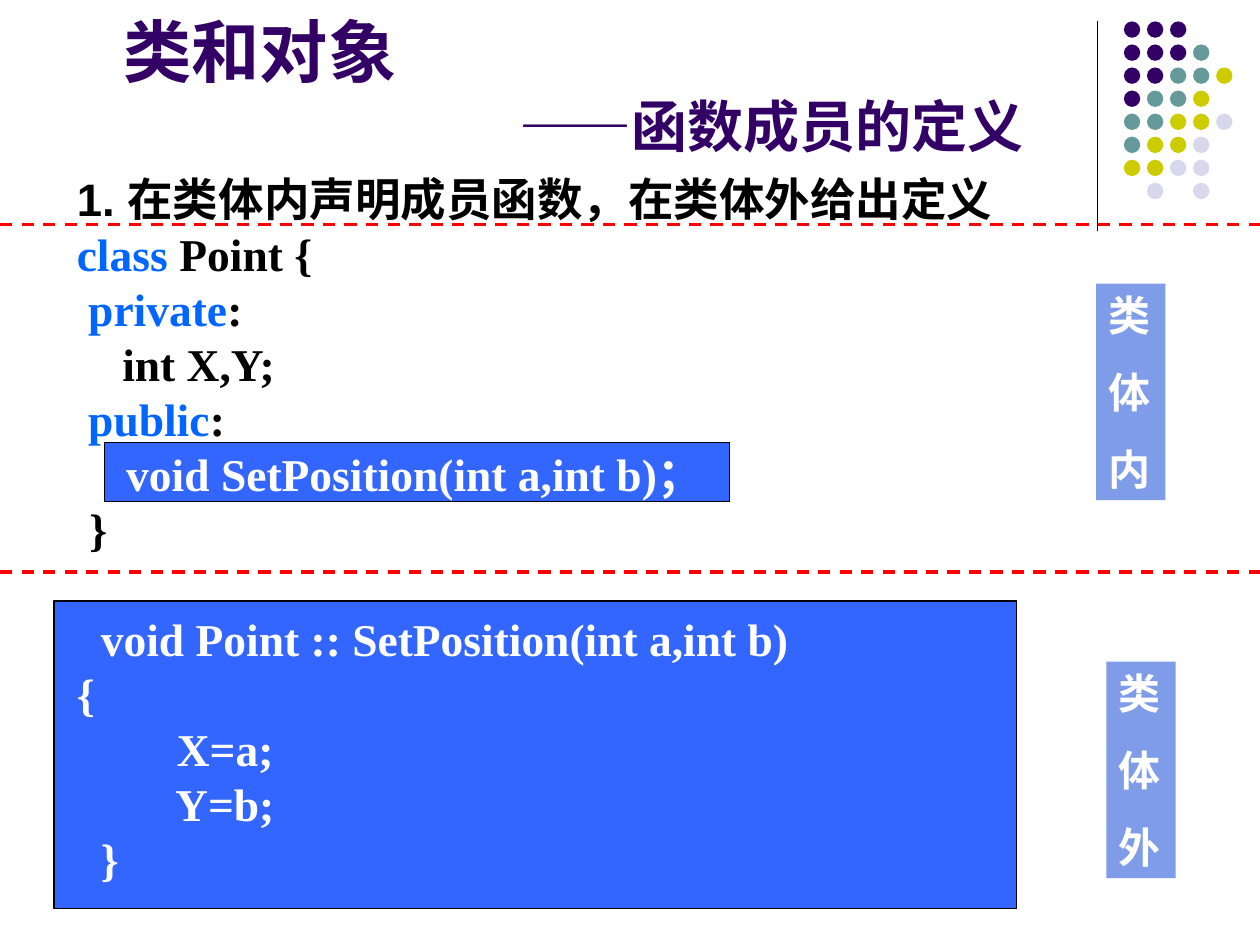
from pptx import Presentation
from pptx.dml.color import RGBColor
from pptx.enum.dml import MSO_LINE
from pptx.enum.shapes import MSO_CONNECTOR, MSO_SHAPE
from pptx.enum.text import MSO_ANCHOR, MSO_AUTO_SIZE, PP_ALIGN
from pptx.oxml.ns import qn
from pptx.util import Inches, Pt
from lxml import etree

SANS, SERIF = "Arial", "Times New Roman"
PURPLE, TEAL, OLIVE, PALE = "330066", "669999", "CCCC00", "D8D8EC"
BLACK, WHITE, KEYWORD, RED = "000000", "FFFFFF", "0066FF", "FF0000"
BLUE, LABEL = "3366FF", "7E9CE8"


def rgb(value):
    return RGBColor.from_string(value)


def add_run(p, text, size, font, color):
    r = p.add_run()
    r.text = text
    r.font.size, r.font.name, r.font.bold = Pt(size), font, True
    r.font.color.rgb = rgb(color)


prs = Presentation()
prs.slide_width, prs.slide_height = Inches(10), Inches(7.5)
s = prs.slides.add_slide(prs.slide_layouts[1])
title, body = s.placeholders

# Vertical rule and dashed separators
for x1, y1, x2, y2, color, width in [
    (8.71, 0.17, 8.71, 1.83, BLACK, 0.75),
    (0, 1.78, 10, 1.78, RED, 1.75),
    (0, 4.54, 10, 4.54, RED, 1.75),
]:
    line = s.shapes.add_connector(
        MSO_CONNECTOR.STRAIGHT, Inches(x1), Inches(y1), Inches(x2), Inches(y2))
    line.line.color.rgb = rgb(color)
    line.line.width = Pt(width)
    if color == RED:
        line.line.dash_style = MSO_LINE.DASH
    etree.SubElement(line.element.spPr, qn("a:effectLst"))

# Dot ornament
dot_colors = {"P": PURPLE, "T": TEAL, "O": OLIVE, "L": PALE}
dot_rows = ["PPP", "PPPT", "PPTTO", "PTTO", "TTOOL", "TOOL", "OOLL", " L L"]
for row, keys in enumerate(dot_rows):
    for col, key in enumerate(keys):
        if key == " ":
            continue
        dot = s.shapes.add_shape(
            MSO_SHAPE.OVAL, Inches(8.92 + 0.183 * col),
            Inches(0.17 + 0.183 * row), Inches(0.13), Inches(0.13))
        dot.shadow.inherit = False
        dot.fill.solid()
        dot.fill.fore_color.rgb = rgb(dot_colors[key])
        dot.line.fill.background()

# Title
title.left, title.top = Inches(0.5), Inches(-0.11)
title.width, title.height = Inches(8.25), Inches(1.42)
tf = title.text_frame
tf.auto_size = MSO_AUTO_SIZE.NONE
tf.vertical_anchor = MSO_ANCHOR.BOTTOM
for i, (text, size, indent) in enumerate([
    ("类和对象", 39, 0.38), ("——函数成员的定义", 32, 3.52),
]):
    p = tf.add_paragraph() if i else tf.paragraphs[0]
    p.alignment = PP_ALIGN.LEFT
    p._p.get_or_add_pPr().set("marL", str(Inches(indent)))
    add_run(p, text, size, SANS, PURPLE)

# Panels behind the code
for x, y, w, h in [(0.83, 3.51, 4.96, 0.47), (0.43, 4.77, 7.64, 2.44)]:
    panel = s.shapes.add_shape(
        MSO_SHAPE.RECTANGLE, Inches(x), Inches(y), Inches(w), Inches(h))
    panel.shadow.inherit = False
    panel.fill.solid()
    panel.fill.fore_color.rgb = rgb(BLUE)
    panel.line.color.rgb = rgb(BLACK)
    panel.line.width = Pt(0.75)

# Heading and code, in front of the panels
panel.element.getparent().append(body.element)
body.left, body.top = Inches(0.51), Inches(1.39)
body.width, body.height = Inches(9), Inches(5.91)
tf = body.text_frame
tf.auto_size = MSO_AUTO_SIZE.NONE
code = [
    [("1. 在类体内声明成员函数，在类体外给出定义", SANS, BLACK)],
    [("class ", SERIF, KEYWORD), ("Point {", SERIF, BLACK)],
    [(" private", SERIF, KEYWORD), (":", SERIF, BLACK)],
    [("    int X,Y;", SERIF, BLACK)],
    [(" public", SERIF, KEYWORD), (":", SERIF, BLACK)],
    [("   ", SANS, WHITE), (" void SetPosition(int a,int b)；", SERIF, WHITE)],
    [(" ", SANS, BLACK), ("}", SERIF, BLACK)],
    [(" ", SANS, WHITE), (" void Point :: SetPosition(int a,int b)", SERIF, WHITE)],
    [("{", SERIF, WHITE)],
    [("       ", SANS, WHITE), (" X=a;", SERIF, WHITE)],
    [("       ", SANS, WHITE), (" Y=b;", SERIF, WHITE)],
    [(" ", SANS, WHITE), (" }", SERIF, WHITE)],
]
OUTSIDE = 7  # first line of the definition outside the class
for i, runs in enumerate(code):
    p = tf.add_paragraph() if i else tf.paragraphs[0]
    pPr = p._p.get_or_add_pPr()
    pPr.set("marL", str(Inches(0.38)))
    pPr.set("indent", str(Inches(-0.38)))
    etree.SubElement(pPr, qn("a:buNone"))
    p.alignment = PP_ALIGN.JUSTIFY
    p.line_spacing = 0.8
    p.space_before = Pt(0 if i == 0 else 38 if i == OUTSIDE else 6.5)
    for text, font, color in runs:
        add_run(p, text, 26, font, color)

# Side labels
for x, y, chars in [(8.7, 2.25, "类体内"), (8.78, 5.25, "类体外")]:
    sp = s.shapes.add_shape(
        MSO_SHAPE.RECTANGLE, Inches(x), Inches(y), Inches(0.55), Inches(1.72))
    sp.shadow.inherit = False
    sp.fill.solid()
    sp.fill.fore_color.rgb = rgb(LABEL)
    sp.line.fill.background()
    tf = sp.text_frame
    tf.word_wrap = True
    tf.vertical_anchor = MSO_ANCHOR.TOP
    for i, char in enumerate(chars):
        p = tf.add_paragraph() if i else tf.paragraphs[0]
        p.alignment = PP_ALIGN.LEFT
        p.space_before = Pt(15 if i else 0)
        add_run(p, char, 24, SANS, WHITE)

prs.save("out.pptx")
